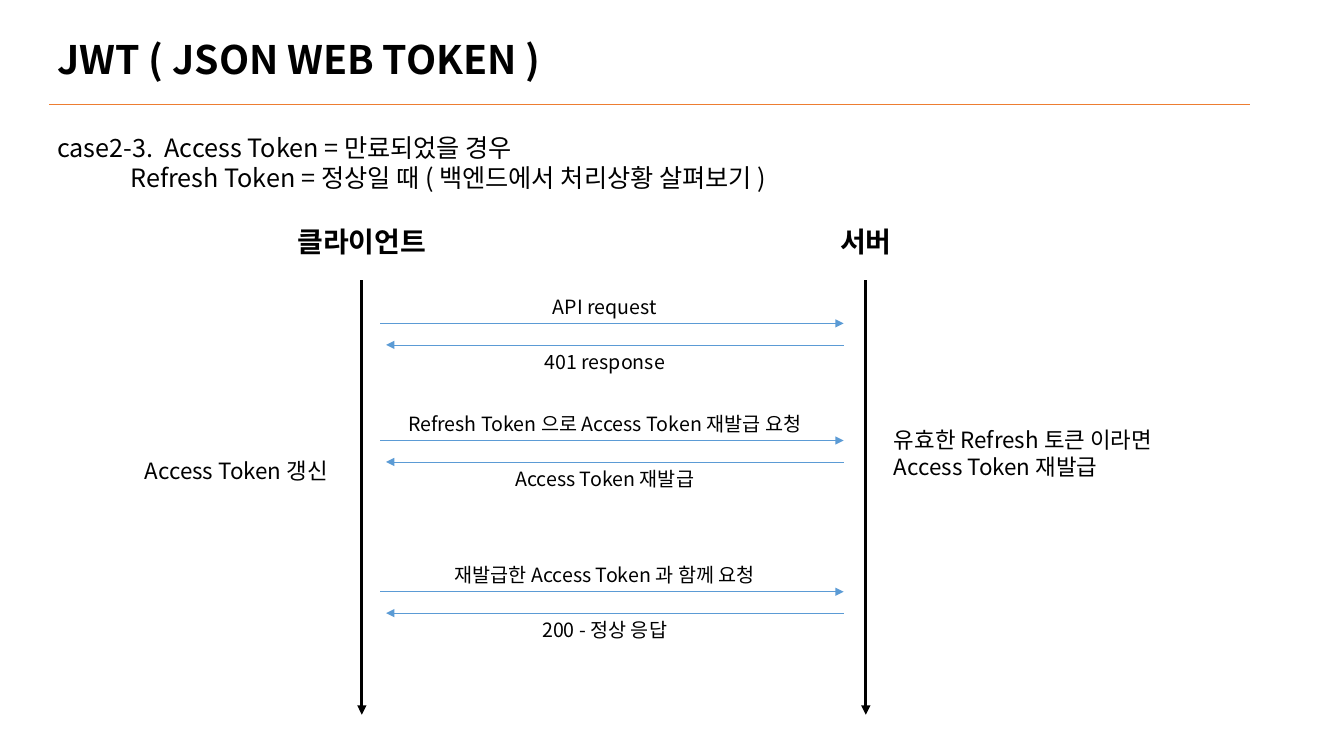
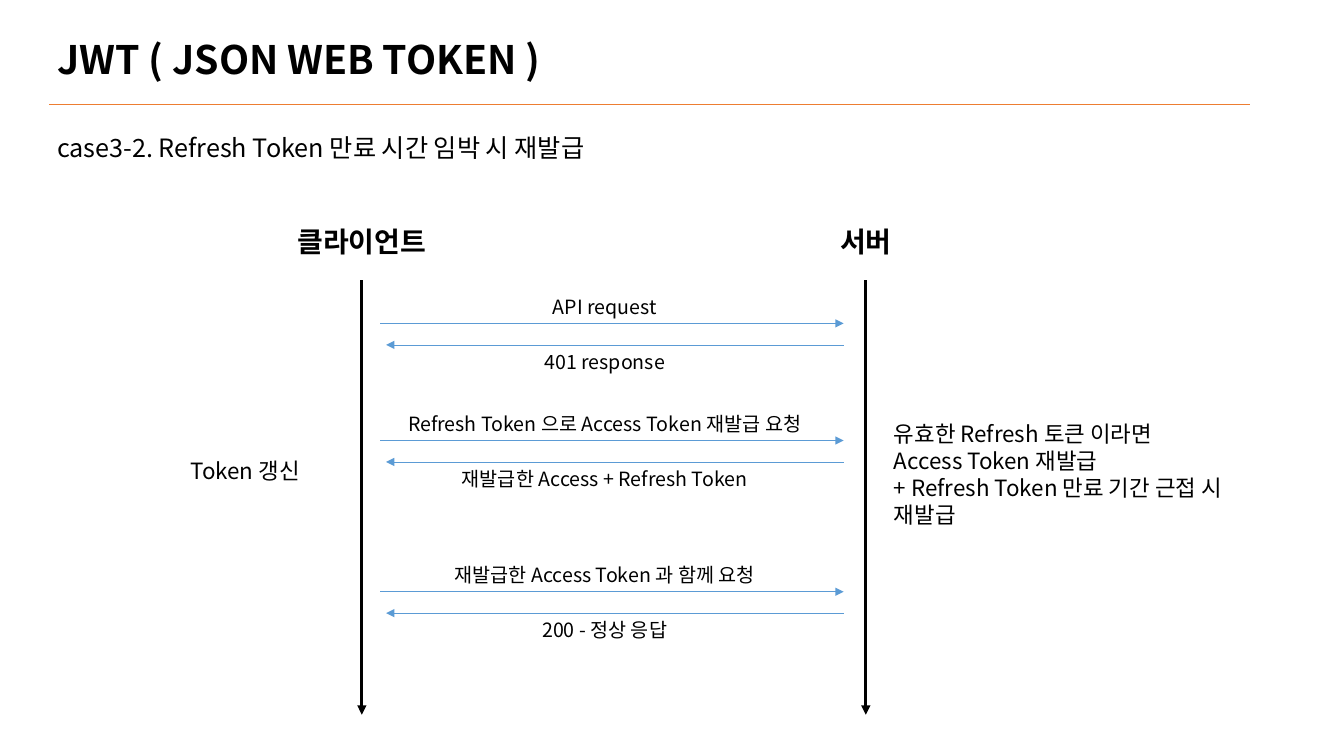
from dataclasses import dataclass

from lxml import etree
from pptx import Presentation
from pptx.dml.color import RGBColor
from pptx.enum.shapes import MSO_CONNECTOR
from pptx.enum.text import MSO_ANCHOR, MSO_AUTO_SIZE, PP_ALIGN
from pptx.oxml.ns import qn
from pptx.util import Cm, Pt


@dataclass(frozen=True)
class Theme:
    font: str = "Noto Sans CJK KR"
    text: str = "000000"
    rule: str = "ED7D31"
    message: str = "5B9BD5"
    title_size: int = 28
    actor_size: int = 20
    case_size: int = 18
    note_size: int = 16
    message_size: int = 14
    line_height: float = 1.2
    thin: float = 0.5
    thick: float = 2.25


THEME = Theme()

TITLE = "JWT ( JSON WEB TOKEN )"
TITLE_ONLY_LAYOUT = 5

# Positions and sizes in centimetres
ACTORS = (("클라이언트", 9.12), ("서버", 21.82))
ACTOR_WIDTH = 5.94
LIFELINE_TOP, LIFELINE_BOTTOM = 7.06, 18.01
REQUEST_LEFT, RESPONSE_LEFT, MESSAGE_RIGHT = 9.58, 9.73, 21.26
EXCHANGE_TOPS = (8.15, 11.1, 14.91)
RESPONSE_OFFSET = 0.54
CAPTION_LEFT, CAPTION_WIDTH, CAPTION_HEIGHT = 9.78, 10.92, 0.86
NOTE_WIDTH = 10.41
SERVER_NOTE_LEFT = 22.28
CLIENT_NOTE_TOP = 11.4
CASE_INDENT = 1.85


@dataclass(frozen=True)
class Case:
    heading: tuple
    reissue_response: str
    client_note: str
    client_note_left: float
    server_note: tuple
    server_note_top: float


CASES = (
    Case(
        heading=(
            "case2-3.  Access Token = 만료되었을 경우",
            "Refresh Token = 정상일 때 ( 백엔드에서 처리상황 살펴보기 )",
        ),
        reissue_response="Access Token 재발급",
        client_note="Access Token 갱신",
        client_note_left=3.4,
        server_note=("유효한 Refresh 토큰 이라면", "Access Token 재발급"),
        server_note_top=10.62,
    ),
    Case(
        heading=("case3-2. Refresh Token 만료 시간 임박 시 재발급",),
        reissue_response="재발급한 Access + Refresh Token",
        client_note="Token 갱신",
        client_note_left=4.55,
        server_note=(
            "유효한 Refresh 토큰 이라면",
            "Access Token 재발급",
            "+ Refresh Token 만료 기간 근접 시 재발급",
        ),
        server_note_top=10.46,
    ),
)


def place(shape, left, top, width, height):
    shape.left, shape.top = Cm(left), Cm(top)
    shape.width, shape.height = Cm(width), Cm(height)


def write(shape, lines, size, bold=False, align=PP_ALIGN.LEFT):
    """Fill a shape with one paragraph per line and return the paragraphs."""
    frame = shape.text_frame
    frame.word_wrap = True
    frame.auto_size = MSO_AUTO_SIZE.NONE
    frame.vertical_anchor = MSO_ANCHOR.TOP
    for index, line in enumerate(lines):
        paragraph = frame.add_paragraph() if index else frame.paragraphs[0]
        paragraph.alignment = align
        paragraph.line_spacing = Pt(size * THEME.line_height)
        paragraph.space_before = Pt(0)
        run = paragraph.add_run()
        run.text = line
        run.font.name = THEME.font
        run.font.size = Pt(size)
        run.font.bold = bold
        run.font.color.rgb = RGBColor.from_string(THEME.text)
        latin = run.font._element.find(qn("a:latin"))
        east_asian = etree.Element(qn("a:ea"), typeface=THEME.font)
        latin.addnext(east_asian)
    return frame.paragraphs


def add_text(slide, box, lines, size, **style):
    shape = slide.shapes.add_textbox(0, 0, 0, 0)
    place(shape, *box)
    return write(shape, lines, size, **style)


def add_line(slide, start, end, color, width, arrow=True):
    points = [Cm(length) for length in (*start, *end)]
    connector = slide.shapes.add_connector(MSO_CONNECTOR.STRAIGHT, *points)
    connector.line.color.rgb = RGBColor.from_string(color)
    connector.line.width = Pt(width)
    if arrow:
        line = connector.line._get_or_add_ln()
        etree.SubElement(line, qn("a:tailEnd"), type="triangle")
    etree.SubElement(connector._element.spPr, qn("a:effectLst"))


def add_header(slide, heading):
    title = slide.shapes.title
    place(title, 1.19, 0.76, 24.2, 1.45)
    write(title, [TITLE], THEME.title_size, bold=True)
    add_line(slide, (1.24, 2.64), (31.5, 2.64), THEME.rule, THEME.thin, arrow=False)
    paragraphs = add_text(slide, (1.19, 3.2, 25.22, 1.8), heading, THEME.case_size)
    for paragraph in paragraphs[1:]:
        properties = paragraph._p.get_or_add_pPr()
        properties.set("marL", str(Cm(CASE_INDENT)))
        properties.set("indent", "0")


def add_actor(slide, name, center):
    box = (center - ACTOR_WIDTH / 2, 5.54, ACTOR_WIDTH, 1.12)
    add_text(slide, box, [name], THEME.actor_size, bold=True, align=PP_ALIGN.CENTER)
    add_line(slide, (center, LIFELINE_TOP), (center, LIFELINE_BOTTOM),
             THEME.text, THEME.thick)


def add_exchange(slide, top, request, response):
    """Draw a request arrow with its caption above and a response below."""
    response_top = top + RESPONSE_OFFSET
    arrows = (
        ((REQUEST_LEFT, top), (MESSAGE_RIGHT, top)),
        ((MESSAGE_RIGHT, response_top), (RESPONSE_LEFT, response_top)),
    )
    for start, end in arrows:
        add_line(slide, start, end, THEME.message, THEME.thin)
    captions = ((request, top - CAPTION_HEIGHT + 0.02), (response, response_top))
    for caption, caption_top in captions:
        box = (CAPTION_LEFT, caption_top, CAPTION_WIDTH, CAPTION_HEIGHT)
        add_text(slide, box, [caption], THEME.message_size, align=PP_ALIGN.CENTER)


def add_notes_beside(slide, case):
    add_text(slide, (SERVER_NOTE_LEFT, case.server_note_top, NOTE_WIDTH, 3),
             case.server_note, THEME.note_size)
    add_text(slide, (case.client_note_left, CLIENT_NOTE_TOP, NOTE_WIDTH, 0.94),
             [case.client_note], THEME.note_size)


def add_case_slide(presentation, case):
    slide = presentation.slides.add_slide(
        presentation.slide_layouts[TITLE_ONLY_LAYOUT])
    add_header(slide, case.heading)
    for name, center in ACTORS:
        add_actor(slide, name, center)
    exchanges = (
        ("API request", "401 response"),
        ("Refresh Token 으로 Access Token 재발급 요청", case.reissue_response),
        ("재발급한 Access Token 과 함께 요청", "200 - 정상 응답"),
    )
    for top, (request, response) in zip(EXCHANGE_TOPS, exchanges):
        add_exchange(slide, top, request, response)
    add_notes_beside(slide, case)


def main():
    presentation = Presentation()
    presentation.slide_width, presentation.slide_height = Cm(33.87), Cm(19.05)
    for case in CASES:
        add_case_slide(presentation, case)
    presentation.save("out.pptx")


if __name__ == "__main__":
    main()
